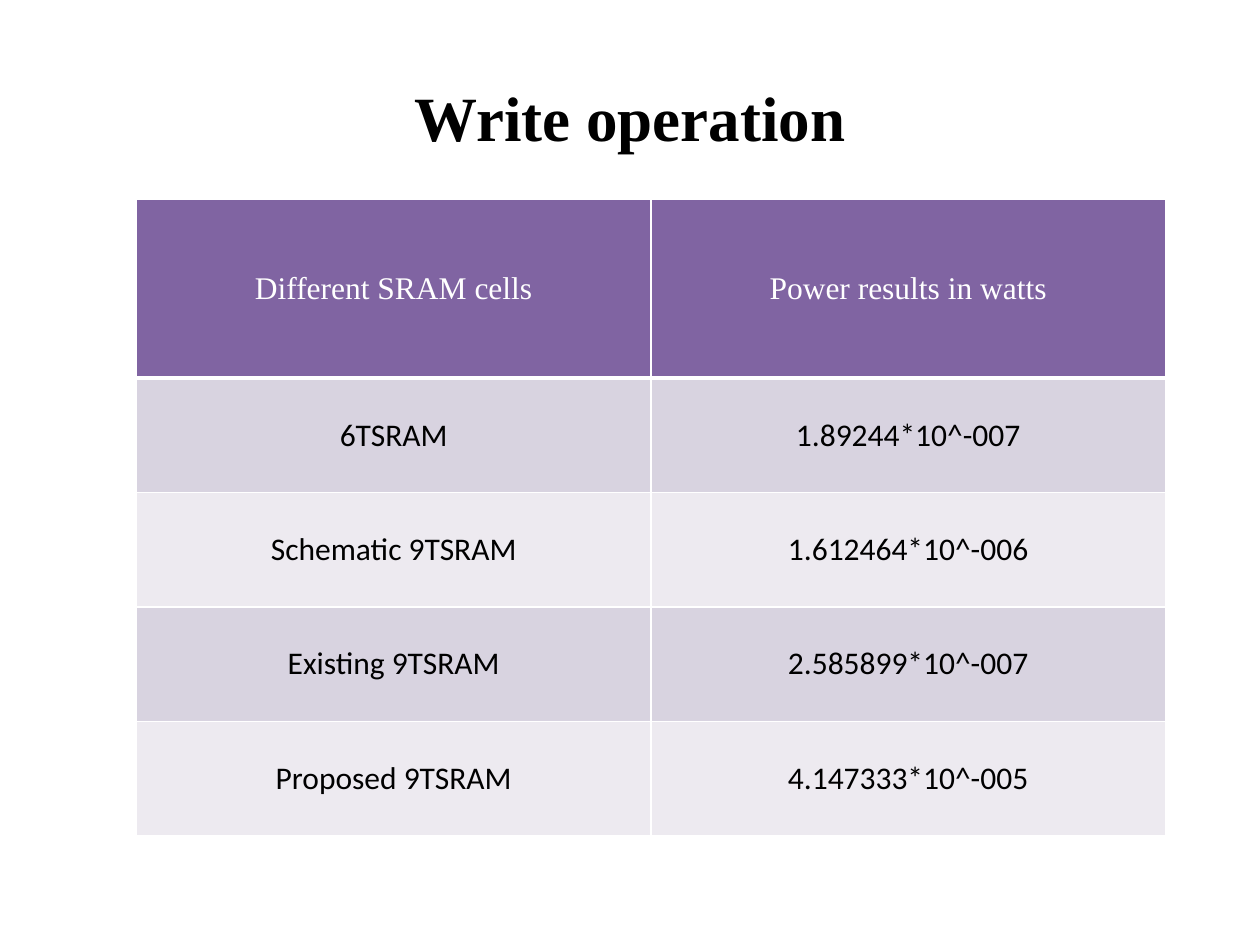
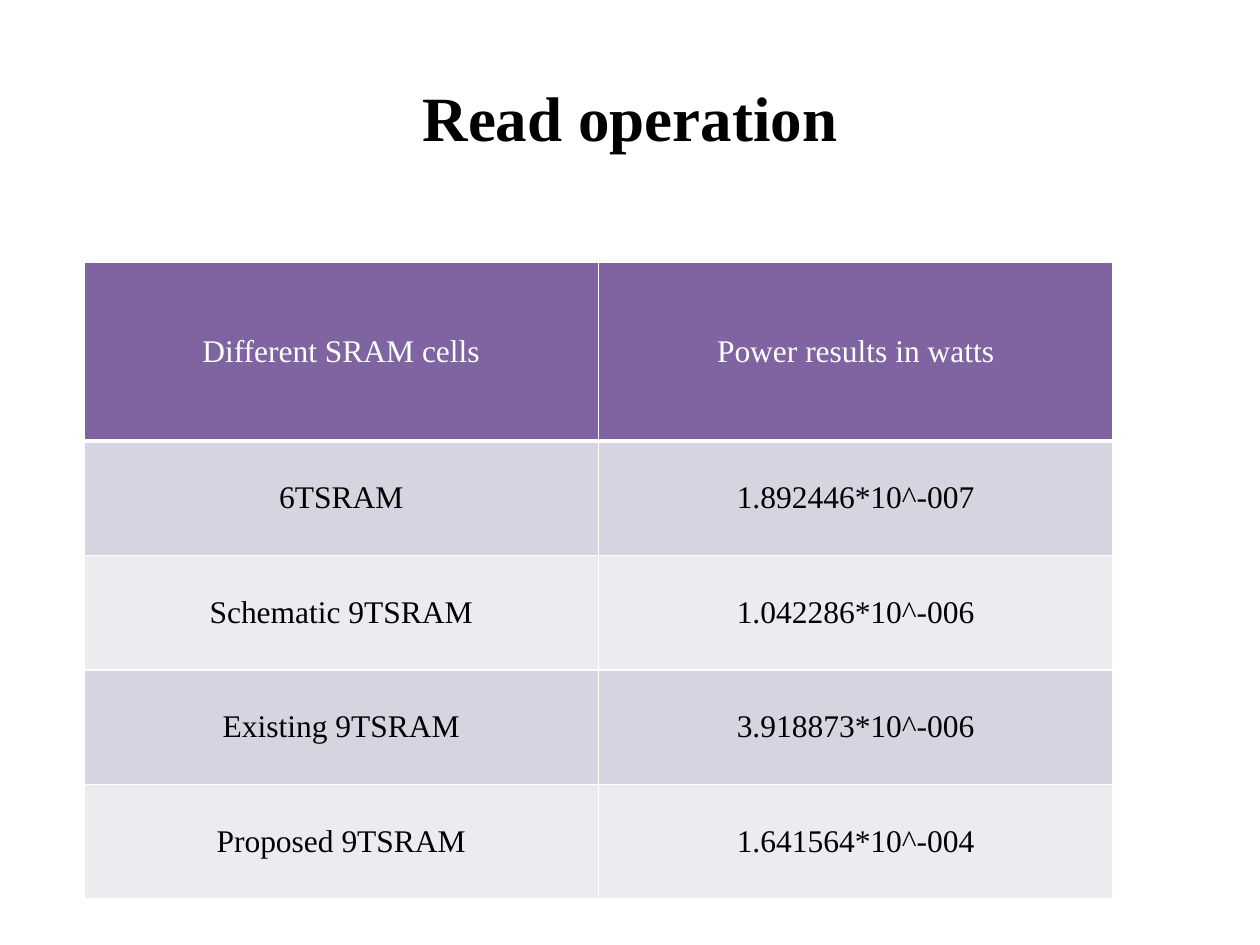
from lxml import etree
from pptx import Presentation
from pptx.dml.color import RGBColor
from pptx.enum.text import MSO_ANCHOR, PP_ALIGN
from pptx.oxml.ns import qn
from pptx.util import Emu, Pt

CENTER = PP_ALIGN.CENTER
MIDDLE = MSO_ANCHOR.MIDDLE

EMU_PER_PX = 7620
SLIDE_SIZE = (1200, 900)
TITLE_BOX = (60, 36, 1080, 150)
COLUMN_WIDTH = 490
HEADER_HEIGHT = 170
ROW_HEIGHT = 109

BLACK = RGBColor(0x00, 0x00, 0x00)
WHITE = RGBColor(0xFF, 0xFF, 0xFF)
PURPLE = RGBColor(0x80, 0x64, 0xA2)
BANDS = (RGBColor(0xD8, 0xD3, 0xE0), RGBColor(0xED, 0xEA, 0xF0))

SERIF = "Times New Roman"
SANS = "Calibri"

HEADINGS = ("Different SRAM cells", "Power results in watts")
CELL_DESIGNS = ("6TSRAM", "Schematic 9TSRAM", "Existing 9TSRAM", "Proposed 9TSRAM")
OPERATIONS = (
    ("Write operation", (130, 190), SANS,
     ("1.89244*10^-007", "1.612464*10^-006", "2.585899*10^-007", "4.147333*10^-005")),
    ("Read operation", (80, 250), SERIF,
     ("1.892446*10^-007", "1.042286*10^-006", "3.918873*10^-006", "1.641564*10^-004")),
)


def px(length):
    return Emu(length * EMU_PER_PX)


class Deck:
    def __init__(self):
        self.presentation = Presentation()
        self.presentation.slide_width, self.presentation.slide_height = map(px, SLIDE_SIZE)
        self.slide = None

    def new_slide(self):
        blank_layout = self.presentation.slide_layouts[6]
        self.slide = self.presentation.slides.add_slide(blank_layout)

    def set_text(self, frame, text, font_name, size, color, bold=False):
        frame.text = text
        paragraph = frame.paragraphs[0]
        paragraph.alignment = CENTER
        font = paragraph.runs[0].font
        font.name = font_name
        font.size = Pt(size)
        font.color.rgb = color
        font.bold = bold

    def title(self, text):
        frame = self.slide.shapes.add_textbox(*map(px, TITLE_BOX)).text_frame
        frame.word_wrap = True
        frame.vertical_anchor = MIDDLE
        self.set_text(frame, text, SERIF, 36, BLACK, bold=True)

    def borders(self, cell, bottom):
        properties = cell._tc.get_or_add_tcPr()
        widths = {"lnL": 1, "lnR": 1, "lnT": 1, "lnB": bottom}
        for position, (side, width) in enumerate(widths.items()):
            line = etree.Element(qn(f"a:{side}"), w=str(Pt(width)))
            fill = etree.SubElement(line, qn("a:solidFill"))
            etree.SubElement(fill, qn("a:srgbClr"), val=str(WHITE))
            properties.insert(position, line)

    def cell(self, cell, text, font_name, color, background, bottom=1):
        cell.fill.solid()
        cell.fill.fore_color.rgb = background
        cell.vertical_anchor = MIDDLE
        self.set_text(cell.text_frame, text, font_name, 18, color)
        self.borders(cell, bottom)

    def table(self, corner, rows, body_font):
        heights = [HEADER_HEIGHT] + [ROW_HEIGHT] * (len(rows) - 1)
        size = (COLUMN_WIDTH * len(HEADINGS), sum(heights))
        table = self.slide.shapes.add_table(
            len(rows), len(HEADINGS), *map(px, corner + size)).table
        for column in table.columns:
            column.width = px(COLUMN_WIDTH)
        for row_index, (row, height) in enumerate(zip(rows, heights)):
            table.rows[row_index].height = px(height)
            for column_index, text in enumerate(row):
                cell = table.cell(row_index, column_index)
                if row_index == 0:
                    self.cell(cell, text, SERIF, WHITE, PURPLE, bottom=3)
                else:
                    self.cell(cell, text, body_font, BLACK, BANDS[(row_index - 1) % 2])


def main():
    deck = Deck()
    for operation, corner, body_font, power_results in OPERATIONS:
        deck.new_slide()
        deck.title(operation)
        deck.table(corner, [HEADINGS, *zip(CELL_DESIGNS, power_results)], body_font)
    deck.presentation.save("out.pptx")


if __name__ == "__main__":
    main()
